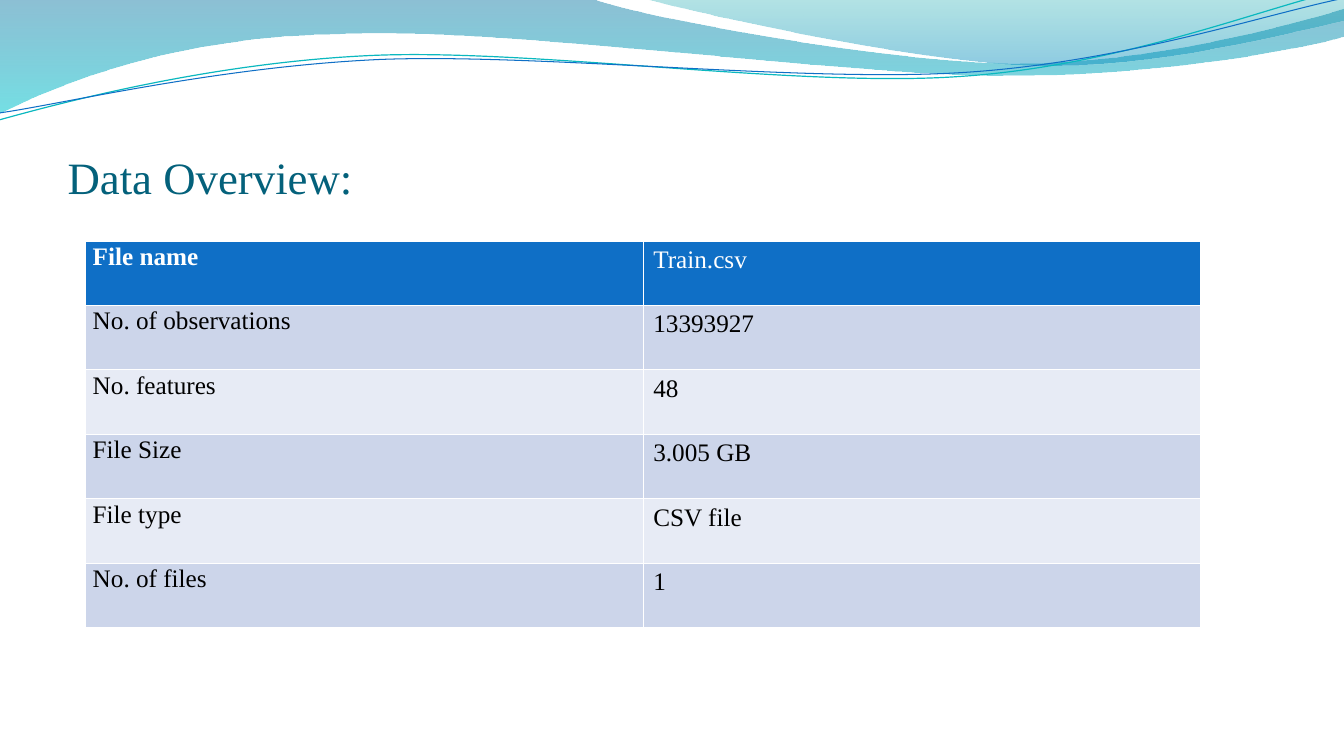
from dataclasses import dataclass

from lxml import etree
from pptx import Presentation
from pptx.dml.color import RGBColor
from pptx.enum.text import MSO_ANCHOR, MSO_AUTO_SIZE, PP_ALIGN
from pptx.oxml.ns import qn
from pptx.shapes.autoshape import Shape
from pptx.slide import Slide
from pptx.table import _Cell
from pptx.text.text import TextFrame
from pptx.util import Inches, Pt

LEFT = PP_ALIGN.LEFT
BOTTOM = MSO_ANCHOR.BOTTOM
NO_AUTOFIT = MSO_AUTO_SIZE.NONE
TITLE_ONLY = 5

Point = tuple[float, float]
Segment = tuple[Point, ...]


@dataclass(frozen=True)
class Theme:
    font: str = "Times New Roman"
    title_size: float = 32
    table_size: float = 18
    title: str = "04617B"
    header: str = "0F6FC6"
    bands: tuple[str, str] = ("CCD5EA", "E7EBF5")
    white: str = "FFFFFF"
    black: str = "000000"
    label_spacing: float = 1.07
    border_width: float = 1


@dataclass(frozen=True)
class GradientStop:
    color: str
    opacity: int


@dataclass(frozen=True)
class Wave:
    """An outline whose segments hold one point (straight) or three (cubic curve)."""
    start: Point
    segments: tuple[Segment, ...]
    gradient: tuple[GradientStop, ...] = ()
    line_color: str = ""
    line_width: float = 0


THEME = Theme()

WAVES = (
    Wave((-0.01, -0.01), (
        ((5.87, -0.01),),
        ((6.34, 0.17), (8.85, 0.63), (10.11, 0.63)),
        ((11.38, 0.63), (12.78, 0.26), (13.33, 0.09)),
        ((13.35, 0.36),),
        ((13.11, 0.44), (11.6, 0.76), (9.94, 0.75)),
        ((8.29, 0.75), (5.09, 0.28), (3.43, 0.34)),
        ((1.72, 0.36), (0.61, 0.83), (-0.01, 1.13)),
    ), gradient=(GradientStop("0074A1", 45), GradientStop("00C6CF", 55))),
    Wave((6.39, -0.01), (
        ((6.79, 0.11), (9.09, 0.62), (10.25, 0.65)),
        ((11.41, 0.69), (12.82, 0.32), (13.33, 0.21)),
        ((13.33, 0),),
    ), gradient=(GradientStop("00A1A9", 30), GradientStop("008BBF", 45))),
    Wave((-0.01, 1.19), (
        ((0.64, 1.01), (2.11, 0.62), (3.69, 0.55)),
        ((5.27, 0.48), (7.9, 0.87), (9.5, 0.76)),
        ((11.1, 0.66), (12.52, 0.08), (13.31, -0.1)),
    ), line_color="0AB8BF", line_width=0.85),
    Wave((0, 1.12), (
        ((0.63, 1.03), (2.18, 0.66), (3.78, 0.59)),
        ((5.37, 0.53), (7.96, 0.82), (9.55, 0.72)),
        ((11.15, 0.62), (12.55, 0.14), (13.34, -0.02)),
    ), line_color="0F6FC6", line_width=0.75),
)

OVERVIEW = (
    ("File name", "Train.csv"),
    ("No. of observations", "13393927"),
    ("No. features", "48"),
    ("File Size", "3.005 GB"),
    ("File type", "CSV file"),
    ("No. of files", "1"),
)


def rgb(value: str) -> RGBColor:
    return RGBColor.from_string(value)


def write_text(frame: TextFrame, text: str, *, size: float, color: str,
               bold: bool = False, spacing: float | None = None) -> None:
    para = frame.paragraphs[0]
    para.alignment = LEFT
    para.line_spacing = spacing
    span = para.add_run()
    span.text = text
    span.font.name = THEME.font
    span.font.size = Pt(size)
    span.font.bold = bold
    span.font.color.rgb = rgb(color)


def bend_segments(shape: Shape, segments: tuple[Segment, ...]) -> None:
    """Join the straight steps of each three-point segment into one cubic curve."""
    steps = iter(list(shape.element.iter(qn("a:lnTo"))))
    for segment in segments:
        first, *others = [next(steps) for _ in segment]
        if others:
            curve = etree.Element(qn("a:cubicBezTo"))
            first.addprevious(curve)
            for step in (first, *others):
                curve.append(step[0])
                step.getparent().remove(step)


def fill_gradient(shape: Shape, stops: tuple[GradientStop, ...]) -> None:
    """Fill from top to bottom with partly transparent colours."""
    shape.fill.gradient()
    shape.fill.gradient_angle = 270
    for target, stop in zip(shape.fill.gradient_stops, stops):
        target.color.rgb = rgb(stop.color)
    colors = list(shape.element.spPr.iter(qn("a:srgbClr")))
    for color, stop in zip(colors, stops):
        etree.SubElement(color, qn("a:alpha"), val=str(stop.opacity * 1000))


def draw_wave(slide: Slide, wave: Wave) -> None:
    points = [wave.start, *(point for segment in wave.segments for point in segment)]
    start, *rest = [(Inches(x), Inches(y)) for x, y in points]
    builder = slide.shapes.build_freeform(*start)
    builder.add_line_segments(rest, close=bool(wave.gradient))
    shape = builder.convert_to_shape()
    bend_segments(shape, wave.segments)
    shape.shadow.inherit = False
    if wave.gradient:
        fill_gradient(shape, wave.gradient)
        shape.line.fill.background()
    else:
        shape.fill.background()
        shape.line.color.rgb = rgb(wave.line_color)
        shape.line.width = Pt(wave.line_width)


def set_borders(cell: _Cell) -> None:
    properties = cell._tc.get_or_add_tcPr()
    for side in "LRTB":
        line = etree.SubElement(properties, qn(f"a:ln{side}"),
                                w=str(Pt(THEME.border_width)))
        fill = etree.SubElement(line, qn("a:solidFill"))
        etree.SubElement(fill, qn("a:srgbClr"), val=THEME.white)


def draw_title(slide: Slide, text: str) -> None:
    title = slide.shapes.title
    title.left, title.top = Inches(0.67), Inches(0.77)
    title.width, title.height = Inches(12), Inches(1.25)
    frame = title.text_frame
    frame.auto_size = NO_AUTOFIT
    frame.vertical_anchor = BOTTOM
    frame.margin_left = frame.margin_right = frame.margin_bottom = 0
    frame.margin_top = Inches(0.05)
    write_text(frame, text, size=THEME.title_size, color=THEME.title)


def draw_overview(slide: Slide, rows: tuple[tuple[str, str], ...]) -> None:
    table = slide.shapes.add_table(
        len(rows), 2, Inches(0.85), Inches(2.39), Inches(11.06), Inches(3.84)).table
    for row, values in enumerate(rows):
        is_header = row == 0
        for column, value in enumerate(values):
            is_label = column == 0
            cell = table.cell(row, column)
            set_borders(cell)
            cell.fill.solid()
            cell.fill.fore_color.rgb = rgb(
                THEME.header if is_header else THEME.bands[(row - 1) % 2])
            if is_label:
                cell.margin_left = cell.margin_right = Inches(0.07)
                cell.margin_top = cell.margin_bottom = 0
            write_text(cell.text_frame, value, size=THEME.table_size,
                       color=THEME.white if is_header else THEME.black,
                       bold=is_header and is_label,
                       spacing=THEME.label_spacing if is_label else None)


def main() -> None:
    deck = Presentation()
    deck.slide_width, deck.slide_height = Inches(13.33), Inches(7.5)
    slide = deck.slides.add_slide(deck.slide_layouts[TITLE_ONLY])
    for wave in WAVES:
        draw_wave(slide, wave)
    draw_title(slide, "Data Overview:")
    draw_overview(slide, OVERVIEW)
    deck.save("out.pptx")


if __name__ == "__main__":
    main()
